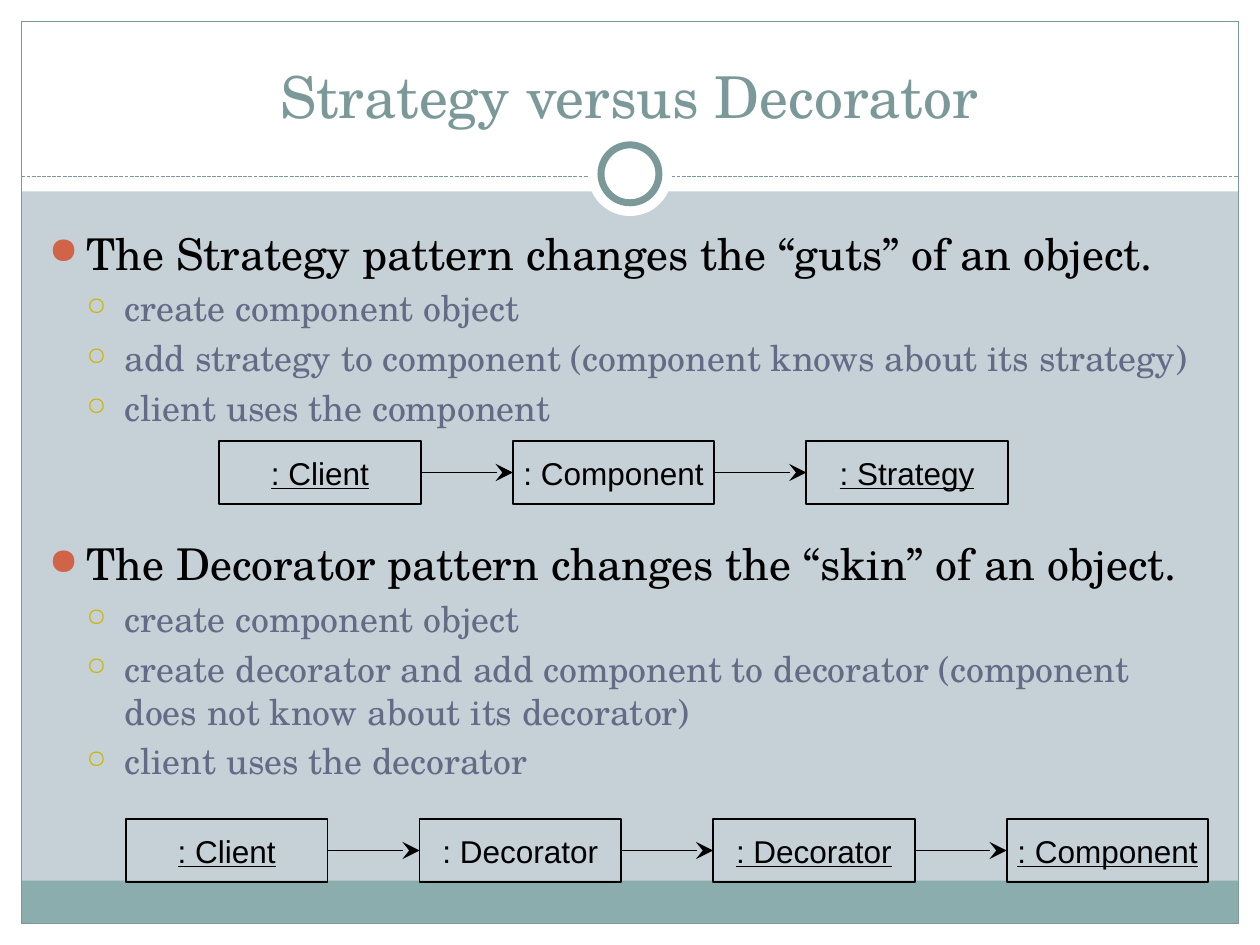
from dataclasses import dataclass
from itertools import pairwise
from typing import Optional

from lxml.etree import SubElement
from pptx import Presentation
from pptx.dml.color import RGBColor
from pptx.enum.dml import MSO_LINE
from pptx.enum.shapes import MSO_CONNECTOR, MSO_SHAPE
from pptx.enum.text import MSO_ANCHOR, PP_ALIGN
from pptx.oxml.ns import qn
from pptx.util import Inches, Pt

WIDTH, HEIGHT = 10, 7.5
MARGIN = 0.17
HEADER = 1.52
SERIF, SANS = "TeX Gyre Schola", "Arial"
WHITE, BLACK, TEAL = "FFFFFF", "000000", "7C999A"
BOX_WIDTH, BOX_HEIGHT, BOX_STEP = 1.6, 0.5, 2.33


@dataclass(frozen=True)
class Level:
    size: float
    color: str
    indent: float
    bullet: str
    bullet_color: str
    bullet_percent: int
    space_before: float


@dataclass(frozen=True)
class Pattern:
    heading: str
    steps: tuple[str, ...]
    gap_before: float


@dataclass(frozen=True)
class ObjectBox:
    label: str
    underlined: bool = True


@dataclass(frozen=True)
class ObjectChain:
    left: float
    top: float
    boxes: tuple[ObjectBox, ...]


HEADING = Level(25, BLACK, 0.3, "●", "D16349", 85, 5)
STEP = Level(20.4, "646B86", 0.6, "○", "CCB400", 70, 4)

PATTERNS = (
    Pattern("The Strategy pattern changes the “guts” of an object.", (
        "create component object",
        "add strategy to component (component knows about its strategy)",
        "client uses the component",
    ), HEADING.space_before),
    Pattern("The Decorator pattern changes the “skin” of an object.", (
        "create component object",
        "create decorator and add component to decorator "
        "(component does not know about its decorator)",
        "client uses the decorator",
    ), 62),
)

CHAINS = (
    ObjectChain(1.74, 3.5, (
        ObjectBox(": Client"), ObjectBox(": Component", False), ObjectBox(": Strategy"))),
    ObjectChain(1, 6.5, (
        ObjectBox(": Client"), ObjectBox(": Decorator", False),
        ObjectBox(": Decorator"), ObjectBox(": Component"))),
)


def rgb(color: str) -> RGBColor:
    return RGBColor.from_string(color)


def add_outline(shapes, kind, left: float, top: float, width: float, height: float,
                fill: Optional[str] = None, line: Optional[str] = None,
                weight: float = 1):
    shape = shapes.add_shape(kind, Inches(left), Inches(top), Inches(width), Inches(height))
    shape.shadow.inherit = False
    if fill:
        shape.fill.solid()
        shape.fill.fore_color.rgb = rgb(fill)
    else:
        shape.fill.background()
    if line:
        shape.line.color.rgb = rgb(line)
        shape.line.width = Pt(weight)
    else:
        shape.line.fill.background()
    return shape


def add_level_line(shapes, start: float, end: float, y: float, color: str, weight: float):
    line = shapes.add_connector(
        MSO_CONNECTOR.STRAIGHT, Inches(start), Inches(y), Inches(end), Inches(y))
    line.line.color.rgb = rgb(color)
    line.line.width = Pt(weight)
    SubElement(line._element.spPr, qn("a:effectLst"))
    return line


def add_run(paragraph, text: str, font: str, size: float, color: str,
            underlined: bool = False) -> None:
    run = paragraph.add_run()
    run.text = text
    run.font.name = font
    run.font.size = Pt(size)
    run.font.color.rgb = rgb(color)
    if underlined:
        run.font.underline = True


def add_frame(shapes, left: float, top: float, width: float, height: float):
    frame = shapes.add_textbox(
        Inches(left), Inches(top), Inches(width), Inches(height)).text_frame
    frame.word_wrap = True
    return frame


def add_bullet(paragraph, text: str, level: Level, space_before: float) -> None:
    paragraph.space_before = Pt(space_before)
    add_run(paragraph, text, SERIF, level.size, level.color)
    properties = paragraph._p.get_or_add_pPr()
    properties.set("marL", str(Inches(level.indent)))
    properties.set("indent", str(-Inches(HEADING.indent)))
    bullet_color = SubElement(properties, qn("a:buClr"))
    SubElement(bullet_color, qn("a:srgbClr"), val=level.bullet_color)
    SubElement(properties, qn("a:buSzPct"), val=str(level.bullet_percent * 1000))
    SubElement(properties, qn("a:buChar"), char=level.bullet)


def draw_backdrop(slide) -> None:
    slide.background.fill.solid()
    slide.background.fill.fore_color.rgb = rgb("C5D1D7")
    shapes = slide.shapes
    inner_width, inner_height = WIDTH - 2 * MARGIN, HEIGHT - 2 * MARGIN
    for band in (
        (0, HEIGHT - MARGIN, WIDTH, MARGIN),
        (0, 0, WIDTH, HEADER),
        (0, 0, MARGIN, HEIGHT),
        (WIDTH - MARGIN, 0, MARGIN, HEIGHT),
    ):
        add_outline(shapes, MSO_SHAPE.RECTANGLE, *band, fill=WHITE)
    footer = 2 * MARGIN
    add_outline(shapes, MSO_SHAPE.RECTANGLE, MARGIN, HEIGHT - MARGIN - footer,
                inner_width, footer, fill="8CADAE")
    add_outline(shapes, MSO_SHAPE.RECTANGLE, MARGIN, MARGIN,
                inner_width, inner_height, line=TEAL, weight=0.75)
    divider = add_level_line(shapes, MARGIN, WIDTH - MARGIN, 1.4, TEAL, 0.75)
    divider.line.dash_style = MSO_LINE.SQUARE_DOT
    for diameter, line in ((0.67, None), (0.46, TEAL)):
        add_outline(shapes, MSO_SHAPE.OVAL, (WIDTH - diameter) / 2, 1.38 - diameter / 2,
                    diameter, diameter, fill=WHITE, line=line, weight=4)


def draw_title(slide) -> None:
    frame = add_frame(slide.shapes, 0.33, 0.25, 9.33, 0.83)
    frame.vertical_anchor = MSO_ANCHOR.BOTTOM
    paragraph = frame.paragraphs[0]
    paragraph.alignment = PP_ALIGN.CENTER
    add_run(paragraph, "Strategy versus Decorator", SERIF, 33, TEAL)


def draw_patterns(slide) -> None:
    frame = add_frame(slide.shapes, 0.29, 1.75, 9.3, 5)
    for number, pattern in enumerate(PATTERNS):
        heading = frame.add_paragraph() if number else frame.paragraphs[0]
        add_bullet(heading, pattern.heading, HEADING, pattern.gap_before)
        for step in pattern.steps:
            paragraph = frame.add_paragraph()
            paragraph.level = 1
            add_bullet(paragraph, step, STEP, STEP.space_before)


def draw_chain(slide, chain: ObjectChain) -> None:
    """Draw a row of object boxes, each with an arrow to the next."""
    shapes = slide.shapes.add_group_shape().shapes
    lefts = [chain.left + BOX_STEP * column for column in range(len(chain.boxes))]
    for left, box in zip(lefts, chain.boxes):
        frame = add_outline(shapes, MSO_SHAPE.RECTANGLE, left, chain.top,
                            BOX_WIDTH, BOX_HEIGHT, line=BLACK).text_frame
        frame.word_wrap = False
        frame.vertical_anchor = MSO_ANCHOR.MIDDLE
        paragraph = frame.paragraphs[0]
        paragraph.alignment = PP_ALIGN.CENTER
        add_run(paragraph, box.label, SANS, 18, BLACK, box.underlined)
    for left, following in pairwise(lefts):
        arrow = add_level_line(shapes, left + BOX_WIDTH, following,
                               chain.top + BOX_HEIGHT / 2, BLACK, 1)
        SubElement(arrow.line._get_or_add_ln(), qn("a:tailEnd"),
                   type="stealth", w="lg", len="lg")


def main() -> None:
    deck = Presentation()
    deck.slide_width, deck.slide_height = Inches(WIDTH), Inches(HEIGHT)
    slide = deck.slides.add_slide(deck.slide_layouts[6])
    draw_backdrop(slide)
    draw_title(slide)
    draw_patterns(slide)
    for chain in CHAINS:
        draw_chain(slide, chain)
    deck.save("out.pptx")


if __name__ == "__main__":
    main()
